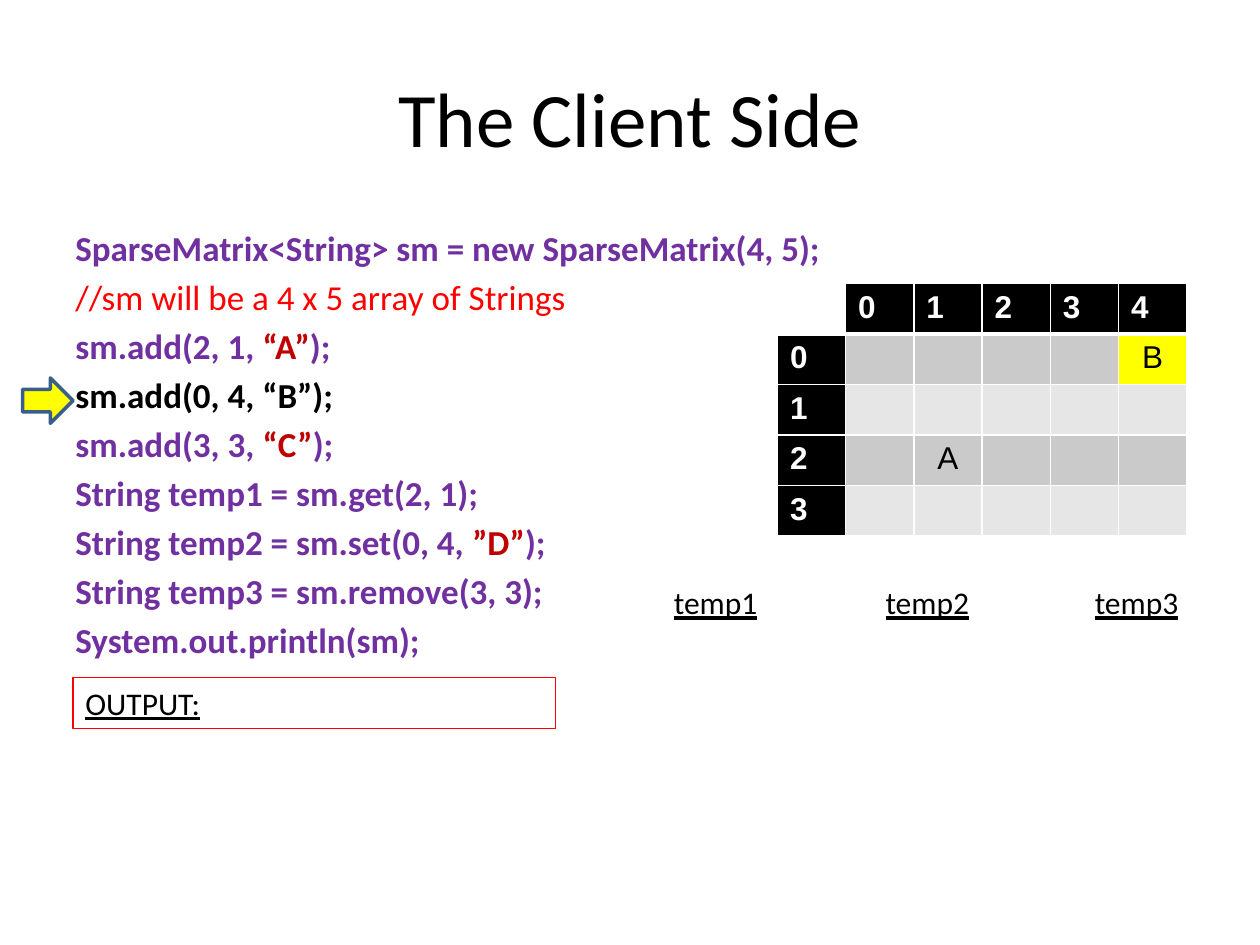
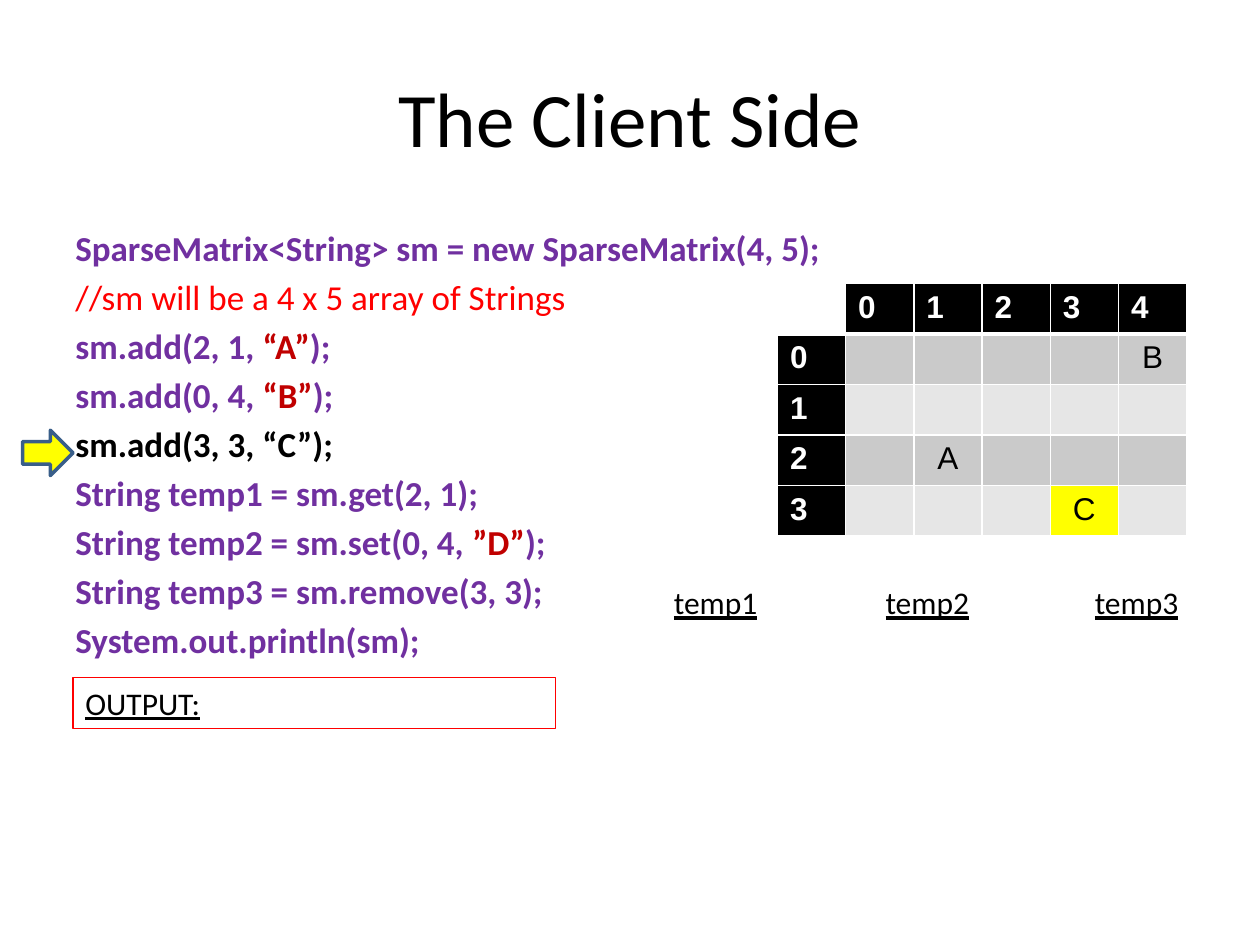
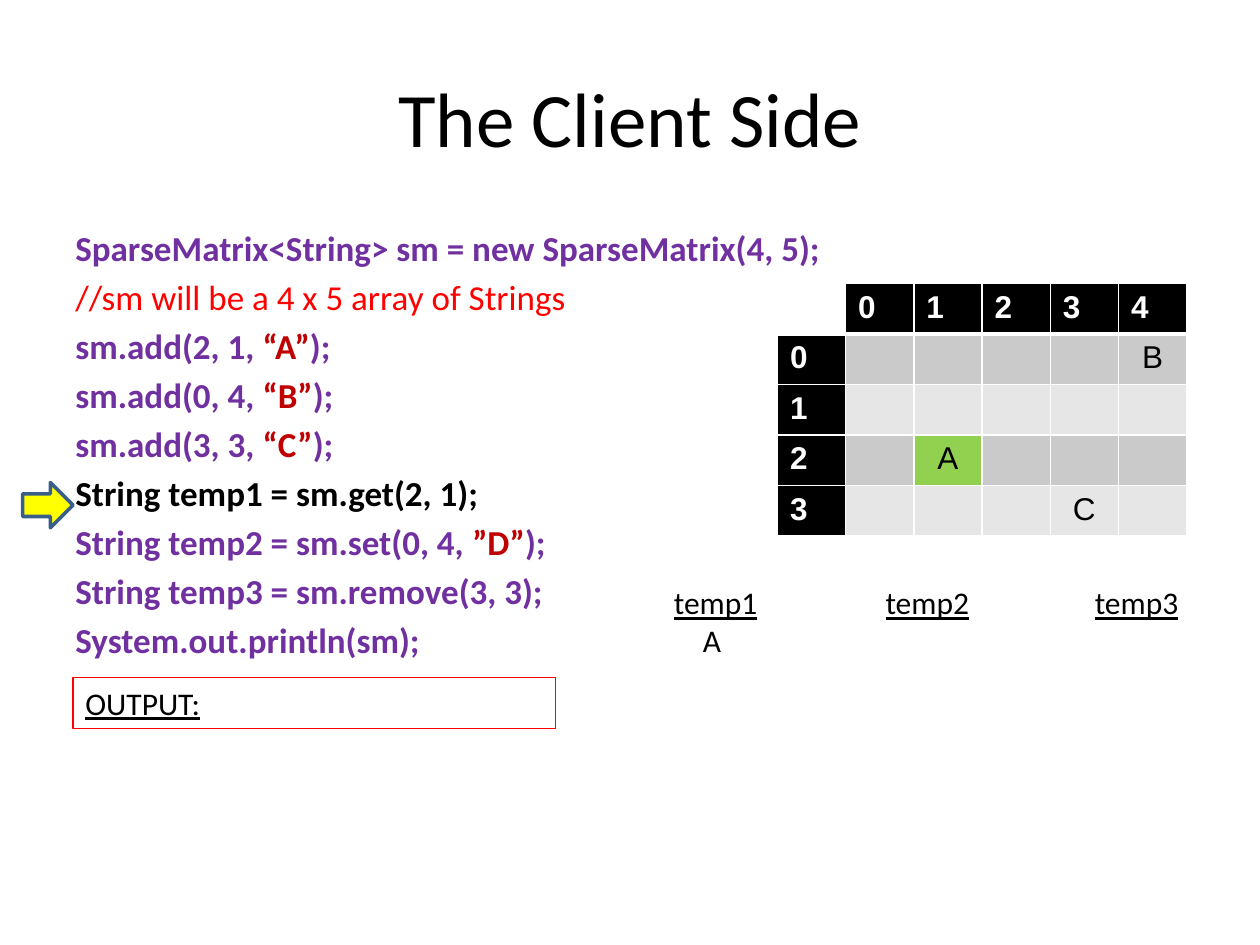
from lxml import etree
from pptx import Presentation
from pptx.dml.color import RGBColor
from pptx.enum.shapes import MSO_SHAPE
from pptx.enum.text import MSO_ANCHOR, PP_ALIGN
from pptx.oxml.ns import qn
from pptx.util import Inches, Pt

CENTER, LEFT = PP_ALIGN.CENTER, PP_ALIGN.LEFT
TOP, MIDDLE = MSO_ANCHOR.TOP, MSO_ANCHOR.MIDDLE
RECTANGLE, RIGHT_ARROW = MSO_SHAPE.RECTANGLE, MSO_SHAPE.RIGHT_ARROW

COLORS = {
    "black": "000000", "white": "FFFFFF", "code": "7030A0", "comment": "FF0000",
    "literal": "C00000", "written": "FFFF00", "read": "92D050",
    "odd row": "CACACA", "even row": "E6E6E6", "arrow line": "395E89",
}

# Each line is code, then an optional string literal and the code after it.
CODE = [
    ("SparseMatrix<String> sm = new SparseMatrix(4, 5);",),
    ("//sm will be a 4 x 5 array of Strings",),
    ("sm.add(2, 1, ", "“A”", ");"),
    ("sm.add(0, 4, ", "“B”", ");"),
    ("sm.add(3, 3, ", "“C”", ");"),
    ("String temp1 = sm.get(2, 1);",),
    ("String temp2 = sm.set(0, 4, ", "”D”", ");"),
    ("String temp3 = sm.remove(3, 3);",),
    ("System.out.println(sm);",),
]
FIRST_STEP = 3
MATRIX_ROWS, MATRIX_COLUMNS = 4, 5

# Values by (row, column), the cell in use with its colour, and the value of temp1.
STEPS = [
    ({(2, 1): "A", (0, 4): "B"}, (0, 4), "written", None),
    ({(2, 1): "A", (0, 4): "B", (3, 3): "C"}, (3, 3), "written", None),
    ({(2, 1): "A", (0, 4): "B", (3, 3): "C"}, (2, 1), "read", "A"),
]


def color(name):
    return RGBColor.from_string(COLORS[name])


def add_text(para, text, size=18, font="Calibri", ink="black", bold=False, underline=False):
    span = para.add_run()
    span.text = text
    span.font.size = Pt(size)
    span.font.name = font
    span.font.color.rgb = color(ink)
    span.font.bold = bold
    span.font.underline = underline


def set_tab_stops(para, stops):
    tabs = etree.SubElement(para._p.get_or_add_pPr(), qn("a:tabLst"))
    for stop in stops:
        etree.SubElement(tabs, qn("a:tab"), pos=str(Inches(stop)), algn="l")


def set_borders(cell, widths):
    properties = cell._tc.get_or_add_tcPr()
    for side, width in zip("LRTB", widths):
        line = etree.SubElement(properties, qn(f"a:ln{side}"), w=str(Pt(width)))
        fill = etree.SubElement(line, qn("a:solidFill"))
        etree.SubElement(fill, qn("a:srgbClr"), val=COLORS["white"])


class ClientDeck:
    def __init__(self):
        self.deck = Presentation()
        self.deck.slide_width, self.deck.slide_height = Inches(10), Inches(7.5)
        self.page = None

    def add_page(self):
        self.page = self.deck.slides.add_slide(self.deck.slide_layouts[6])

    def text_box(self, left, top, width, height, anchor=TOP):
        box = self.page.shapes.add_textbox(Inches(left), Inches(top), Inches(width), Inches(height))
        box.text_frame.word_wrap = True
        box.text_frame.vertical_anchor = anchor
        return box.text_frame

    def shape(self, kind, left, top, width, height, line, line_width, fill=None):
        shape = self.page.shapes.add_shape(
            kind, Inches(left), Inches(top), Inches(width), Inches(height))
        shape.shadow.inherit = False
        if fill:
            shape.fill.solid()
            shape.fill.fore_color.rgb = color(fill)
        else:
            shape.fill.background()
        shape.line.color.rgb = color(line)
        shape.line.width = Pt(line_width)
        return shape

    def title(self, text):
        para = self.text_box(0.5, 0.3, 9, 1.25, MIDDLE).paragraphs[0]
        para.alignment = CENTER
        add_text(para, text, size=44)

    def code(self, current):
        frame = self.text_box(0.5, 1.75, 9, 4.95)
        for index, parts in enumerate(CODE):
            para = frame.add_paragraph() if index else frame.paragraphs[0]
            if index:
                para.space_before = Pt(4)
            if index == current:
                add_text(para, "".join(parts), size=20, bold=True)
                continue
            comment = parts[0].startswith("//")
            inks = ("comment" if comment else "code", "literal", "code")
            for part, ink in zip(parts, inks):
                add_text(para, part, size=20, ink=ink, bold=not comment)

    def matrix(self, values, active, active_fill):
        table = self.page.shapes.add_table(
            MATRIX_ROWS + 1, MATRIX_COLUMNS + 1,
            Inches(6.17), Inches(2.25), Inches(3.25), Inches(1.9)).table
        for row in range(-1, MATRIX_ROWS):
            for column in range(-1, MATRIX_COLUMNS):
                cell = table.cell(row + 1, column + 1)
                header = row < 0 or column < 0
                if row < 0 and column < 0:
                    text, fill = "", "white"
                elif header:
                    text, fill = str(max(row, column)), "black"
                else:
                    text = values.get((row, column), "")
                    fill = "even row" if row % 2 else "odd row"
                    if (row, column) == active:
                        fill = active_fill
                set_borders(cell, (1, 1, 3 if row == 0 else 1, 3 if row < 0 else 1))
                cell.fill.solid()
                cell.fill.fore_color.rgb = color(fill)
                if text:
                    para = cell.text_frame.paragraphs[0]
                    para.alignment = LEFT if header else CENTER
                    add_text(para, text, font="Arial", bold=header,
                             ink="white" if header else "black")
                else:
                    cell.margin_top = cell.margin_bottom = 0

    def variables(self, value):
        frame = self.text_box(5.25, 4.58, 4.25, 0.71 if value else 0.4)
        names = frame.paragraphs[0]
        set_tab_stops(names, (1.68, 3.34))
        for number in (1, 2, 3):
            if number > 1:
                add_text(names, "\t")
            add_text(names, f"temp{number}", underline=True)
        if value:
            para = frame.add_paragraph()
            para._p.get_or_add_pPr().set("marL", str(Inches(0.23)))
            add_text(para, value)

    def output(self):
        frame = self.shape(RECTANGLE, 0.58, 5.38, 3.83, 0.4, "comment", 0.75).text_frame
        frame.vertical_anchor = TOP
        frame.paragraphs[0].alignment = LEFT
        add_text(frame.paragraphs[0], "OUTPUT:", underline=True)

    def arrow(self, step):
        self.shape(RIGHT_ARROW, 0.18, 3 + 0.415 * step, 0.4, 0.36, "arrow line", 2, "written")


def main():
    client = ClientDeck()
    for step, (values, active, active_fill, temp1) in enumerate(STEPS):
        client.add_page()
        client.title("The Client Side")
        client.code(FIRST_STEP + step)
        client.matrix(values, active, active_fill)
        client.variables(temp1)
        client.output()
        client.arrow(step)
    client.deck.save("out.pptx")


if __name__ == "__main__":
    main()
